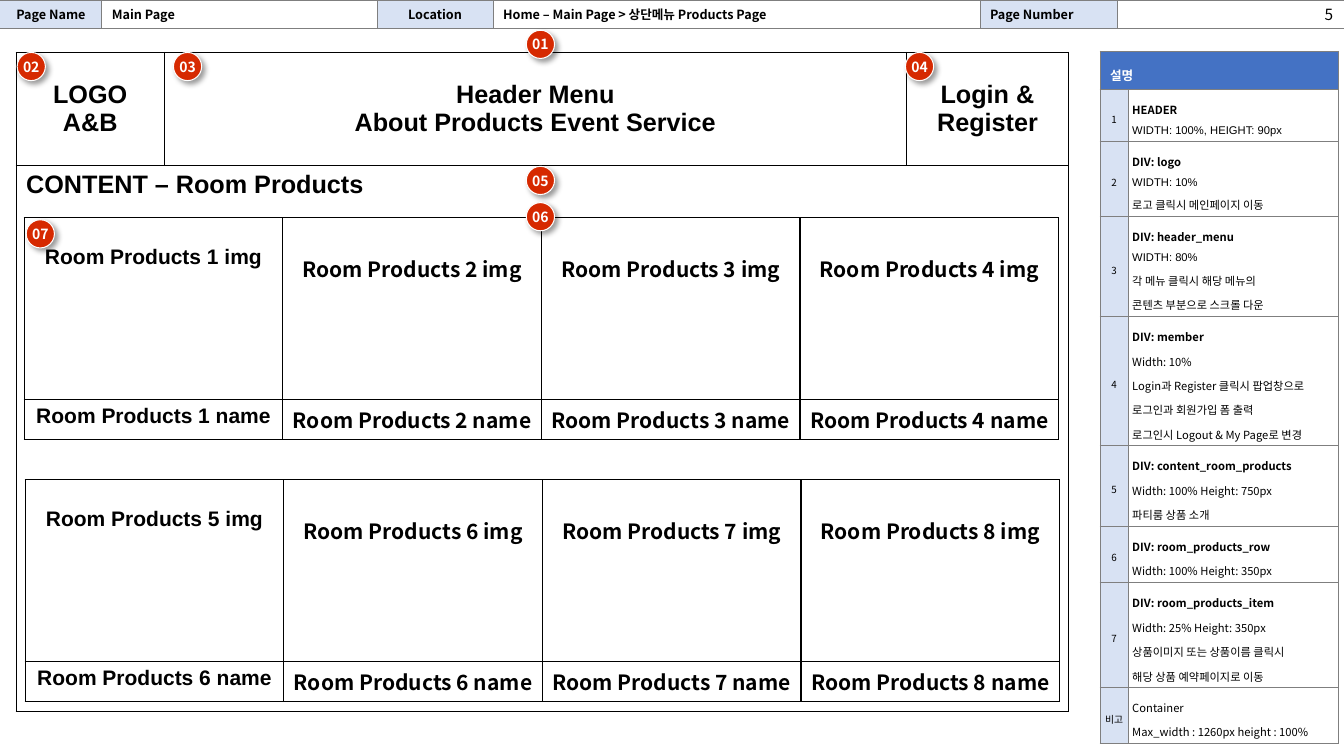
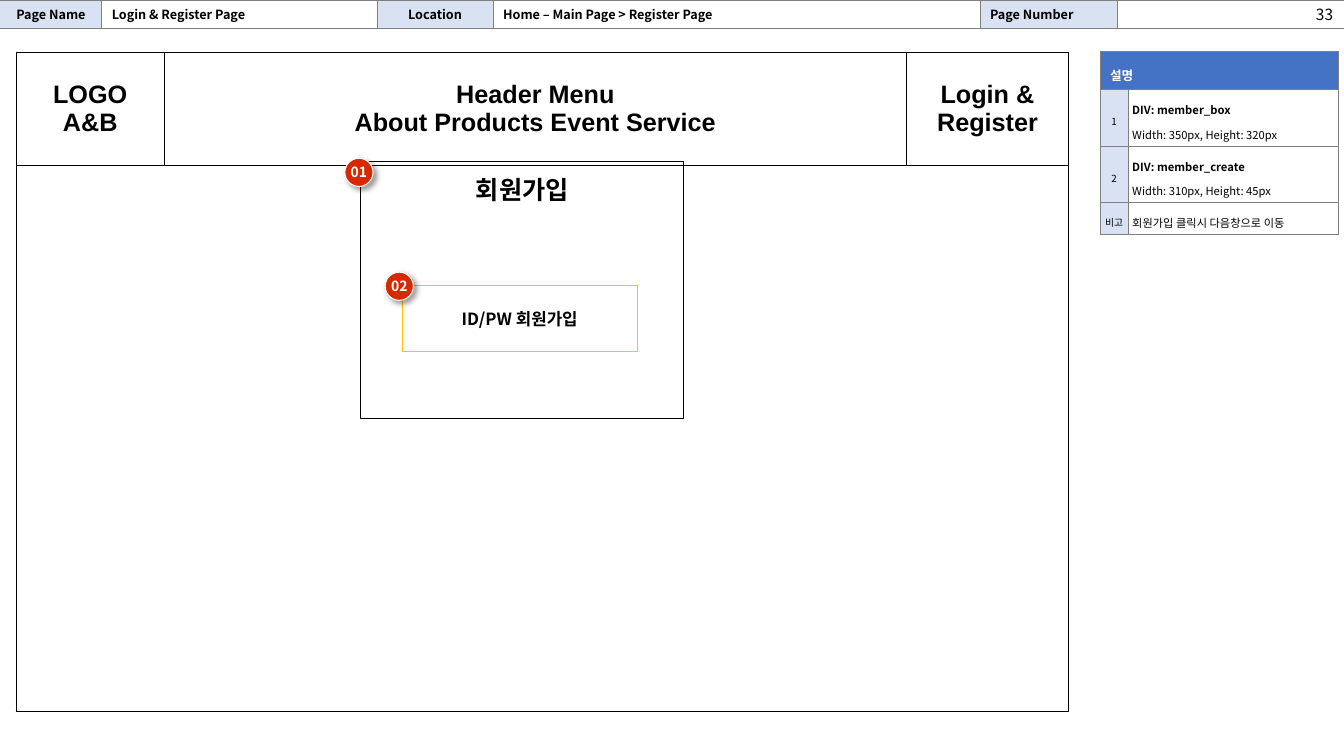
from pptx import Presentation, util as u
from pptx.dml.color import RGBColor
from pptx.enum import shapes, text
from pptx.oxml import ns
from lxml import etree

Inches, Pt = u.Inches, u.Pt
CENTER, RIGHT = text.PP_ALIGN.CENTER, text.PP_ALIGN.RIGHT
TOP, MIDDLE = text.MSO_ANCHOR.TOP, text.MSO_ANCHOR.MIDDLE
NOTO, ARIAL = "Noto Sans CJK KR", "Arial"
REMARK = "비고"
COLORS = {
    "black": "000000", "white": "FFFFFF", "gray": "7F7F7F", "label": "D8E2F3",
    "heading": "4472C4", "badge": "D62900", "button": "FFC000",
}


def write(holder, lines, size=9, bold=False, color="black", font=NOTO, align=None,
          anchor=MIDDLE, insets=(0.1, 0.05, 0.1, 0.05), spacing=None):
    """Fill a cell or shape; a line is a string or a (string, font) pair."""
    frame = holder.text_frame
    box = holder if hasattr(holder, "margin_left") else frame
    box.margin_left, box.margin_top, box.margin_right, box.margin_bottom = map(Inches, insets)
    box.vertical_anchor = anchor
    frame.word_wrap = True
    for i, line in enumerate(lines):
        words, face = line if isinstance(line, tuple) else (line, font)
        para = frame.add_paragraph() if i else frame.paragraphs[0]
        para.alignment = align
        para.line_spacing = spacing
        if not words:
            para._p.get_or_add_endParaRPr().set("sz", str(size * 100))
            continue
        span = para.add_run()
        span.text = words
        span.font.size, span.font.bold, span.font.name = Pt(size), bold, face
        span.font.color.rgb = RGBColor.from_string(COLORS[color])
        east_asian = etree.SubElement(span._r.get_or_add_rPr(), ns.qn("a:ea"))
        east_asian.set("typeface", NOTO)


def add_grid(page, left, top, widths, heights, line, weight=0.75, open_sides=False):
    """Add a white table with plain borders, optionally open at left and right."""
    table = page.shapes.add_table(
        len(heights), len(widths), Inches(left), Inches(top),
        Inches(sum(widths)), Inches(sum(heights))).table
    table.first_row = table.horz_banding = False
    for column, width in zip(table.columns, widths):
        column.width = Inches(width)
    for row, height in zip(table.rows, heights):
        row.height = Inches(height)
        for i, cell in enumerate(row.cells):
            props = cell._tc.get_or_add_tcPr()
            for side in ("lnL", "lnR", "lnT", "lnB"):
                edge = etree.SubElement(props, ns.qn(f"a:{side}"), w=str(Pt(weight)))
                outer = (side, i) in (("lnL", 0), ("lnR", len(widths) - 1))
                if open_sides and outer:
                    etree.SubElement(edge, ns.qn("a:noFill"))
                else:
                    fill = etree.SubElement(edge, ns.qn("a:solidFill"))
                    etree.SubElement(fill, ns.qn("a:srgbClr"), val=COLORS[line])
            cell.fill.solid()
            cell.fill.fore_color.rgb = RGBColor.from_string(COLORS["white"])
    return table


PAGES = [
    {
        "name": "Main Page", "location": "Home – Main Page > 상단메뉴 Products Page",
        "number": "5", "content": "CONTENT – Room Products",
        "notes": [
            ("1", ["HEADER", ("WIDTH: 100%, HEIGHT: 90px", ARIAL)]),
            ("2", ["DIV: logo", ("WIDTH: 10%", ARIAL), "로고 클릭시 메인페이지 이동"]),
            ("3", ["DIV: header_menu", ("WIDTH: 80%", ARIAL),
                   "각 메뉴 클릭시 해당 메뉴의", "콘텐츠 부분으로 스크롤 다운"]),
            ("4", ["DIV: member", "Width: 10%", "Login과 Register 클릭시 팝업창으로",
                   "로그인과 회원가입 폼 출력", "로그인시 Logout & My Page로 변경"]),
            ("5", ["DIV: content_room_products", "Width: 100% Height: 750px",
                   "파티룸 상품 소개"]),
            ("6", ["DIV: room_products_row", "Width: 100% Height: 350px"]),
            ("7", ["DIV: room_products_item", "Width: 25% Height: 350px",
                   "상품이미지 또는 상품이름 클릭시", "해당 상품 예약페이지로 이동"]),
            (REMARK, ["Container", "Max_width : 1260px height : 100%"]),
        ],
    },
    {
        "name": "Login & Register Page", "location": "Home – Main Page > Register Page",
        "number": "33", "content": "",
        "notes": [
            ("1", ["DIV: member_box", "Width: 350px, Height: 320px"]),
            ("2", ["DIV: member_create", "Width: 310px, Height: 45px"]),
            (REMARK, ["회원가입 클릭시 다음창으로 이동"]),
        ],
    },
]

deck = Presentation()
deck.slide_width, deck.slide_height = Inches(13.33), Inches(7.5)
pages = []

for info in PAGES:
    page = deck.slides.add_slide(deck.slide_layouts[6])
    pages.append(page)

    # Page header
    header = add_grid(page, 0, 0, [1.01, 2.73, 1.15, 4.83, 1.36, 2.25], [0.28],
                      "gray", open_sides=True)
    entries = ["Page Name", info["name"], "Location", info["location"], "Page Number", ""]
    for i, entry in enumerate(entries):
        cell = header.cell(0, i)
        write(cell, [entry], bold=True, align=CENTER if i in (0, 2) else None)
        if i % 2 == 0:
            cell.fill.fore_color.rgb = RGBColor.from_string(COLORS["label"])
    number = page.shapes.add_textbox(Inches(11.07), 0, Inches(2.25), Inches(0.25))
    write(number, [info["number"]], size=11, align=RIGHT, anchor=TOP)

    # Description panel: row heights follow the number of lines
    heights = [0.08 + sum(0.19 if isinstance(line, tuple) else 0.24 for line in lines)
               for _, lines in info["notes"]]
    panel = add_grid(page, 10.91, 0.51, [0.28, 2.09], [0.38] + heights, "gray")
    heading = panel.cell(0, 0)
    heading.merge(panel.cell(0, 1))
    heading.fill.fore_color.rgb = RGBColor.from_string(COLORS["heading"])
    write(heading, ["설명"], bold=True, color="white", spacing=1.5)
    for i, (label, lines) in enumerate(info["notes"], 1):
        key, note = panel.cell(i, 0), panel.cell(i, 1)
        key.fill.fore_color.rgb = RGBColor.from_string(COLORS["label"])
        write(key, [label], size=7, align=CENTER, insets=(0, 0.05, 0, 0.05), spacing=1.5)
        write(note, lines, size=8, insets=(0.04,) * 4, spacing=1.5)
        note.text_frame.paragraphs[0].runs[0].font.bold = label != REMARK

    # Site wireframe
    site = add_grid(page, 0.16, 0.52, [1.47, 7.36, 1.61], [1.12, 5.42], "black")
    blocks = [["LOGO", "A&B"], ["Header Menu", "About Products Event Service"],
              ["Login &", "Register"]]
    for i, lines in enumerate(blocks):
        write(site.cell(0, i), lines, size=18, bold=True, font=ARIAL, align=CENTER)
    site.cell(1, 0).merge(site.cell(1, 2))
    write(site.cell(1, 0), [info["content"]], size=18, bold=True, font=ARIAL, anchor=TOP)

main_page, register_page = pages

# Product rows
product_rows = [
    (0.24, 2.16, [1, 2, 3, 4], [1, 2, 3, 4]),
    (0.25, 4.76, [5, 6, 7, 8], [6, 6, 7, 8]),
]
for left, top, images, names in product_rows:
    products = add_grid(main_page, left, top, [10.26 / 4] * 4, [1.8, 0.4], "black", weight=1)
    for i, (image, name) in enumerate(zip(images, names)):
        style = {"size": 15, "bold": True, "align": CENTER, "anchor": TOP,
                 "font": NOTO if i else ARIAL}
        write(products.cell(0, i), [f"Room Products {image} img"],
              insets=(0.1, 0.35 if i else 0.28, 0.1, 0.05), **style)
        write(products.cell(1, i), [f"Room Products {name} name"], **style)

# Registration box
member_box = register_page.shapes.add_group_shape()
for left, top, width, height, line, fill, label in [
    (3.99, 2.83, 2.33, 0.66, "button", "white", "ID/PW 회원가입"),
    (3.58, 1.6, 3.2, 2.55, "black", None, ""),
]:
    box = member_box.shapes.add_shape(shapes.MSO_SHAPE.RECTANGLE, Inches(left), Inches(top),
                                      Inches(width), Inches(height))
    box.shadow.inherit = False
    box.line.color.rgb = RGBColor.from_string(COLORS[line])
    box.line.width = Pt(0.75)
    if fill:
        box.fill.solid()
        box.fill.fore_color.rgb = RGBColor.from_string(COLORS[fill])
    else:
        box.fill.background()
    write(box, [label], size=12, bold=True, align=CENTER)
caption = member_box.shapes.add_textbox(Inches(4.31), Inches(1.76), Inches(1.74), Inches(0.23))
write(caption, ["회원가입"], size=18, bold=True, align=CENTER, insets=(0.01,) * 4)

# Numbered badges
for parent, label, left, top in [
    (main_page, "01", 5.22, 0.3), (main_page, "02", 0.17, 0.52),
    (main_page, "03", 1.72, 0.52), (main_page, "04", 8.98, 0.52),
    (main_page, "05", 5.22, 1.65), (main_page, "06", 5.22, 2.01),
    (main_page, "07", 0.26, 2.18),
    (register_page, "01", 3.42, 1.57), (member_box, "02", 3.82, 2.7),
]:
    badge = parent.shapes.add_shape(shapes.MSO_SHAPE.OVAL, Inches(left), Inches(top),
                                    Inches(0.28), Inches(0.28))
    badge.fill.solid()
    badge.fill.fore_color.rgb = RGBColor.from_string(COLORS["badge"])
    badge.line.color.rgb = RGBColor.from_string(COLORS["white"])
    badge.line.width = Pt(0.75)
    badge.shadow.inherit = False
    effects = badge._element.spPr.find(ns.qn("a:effectLst"))
    shadow = etree.SubElement(effects, ns.qn("a:outerShdw"), blurRad=str(Pt(4)),
                              dist=str(Pt(3)), dir=str(45 * 60000), algn="tl", rotWithShape="0")
    tint = etree.SubElement(shadow, ns.qn("a:srgbClr"), val=COLORS["black"])
    etree.SubElement(tint, ns.qn("a:alpha"), val="40000")
    write(badge, [label], size=10, bold=True, color="white", align=CENTER, insets=(0,) * 4)

deck.save("out.pptx")
